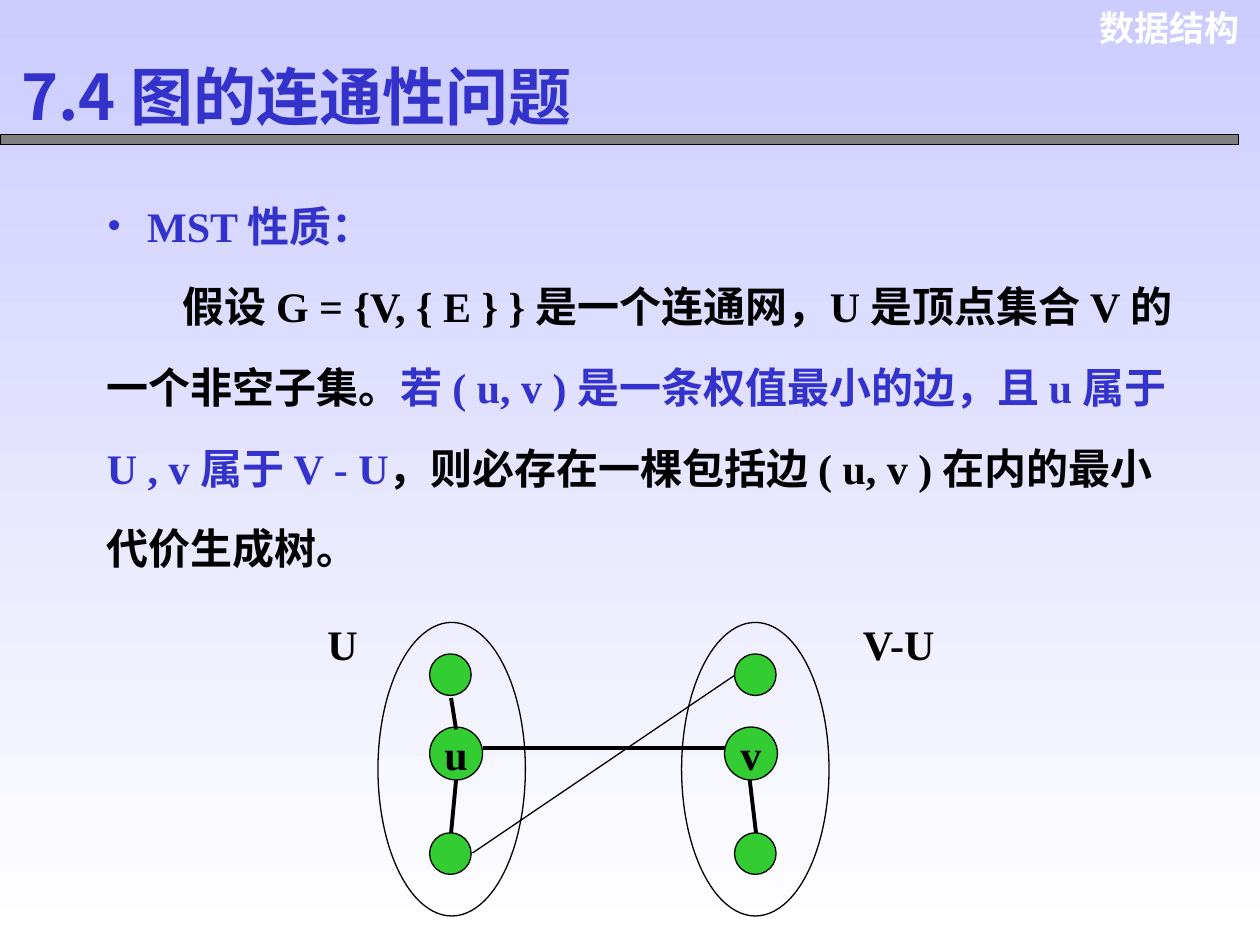
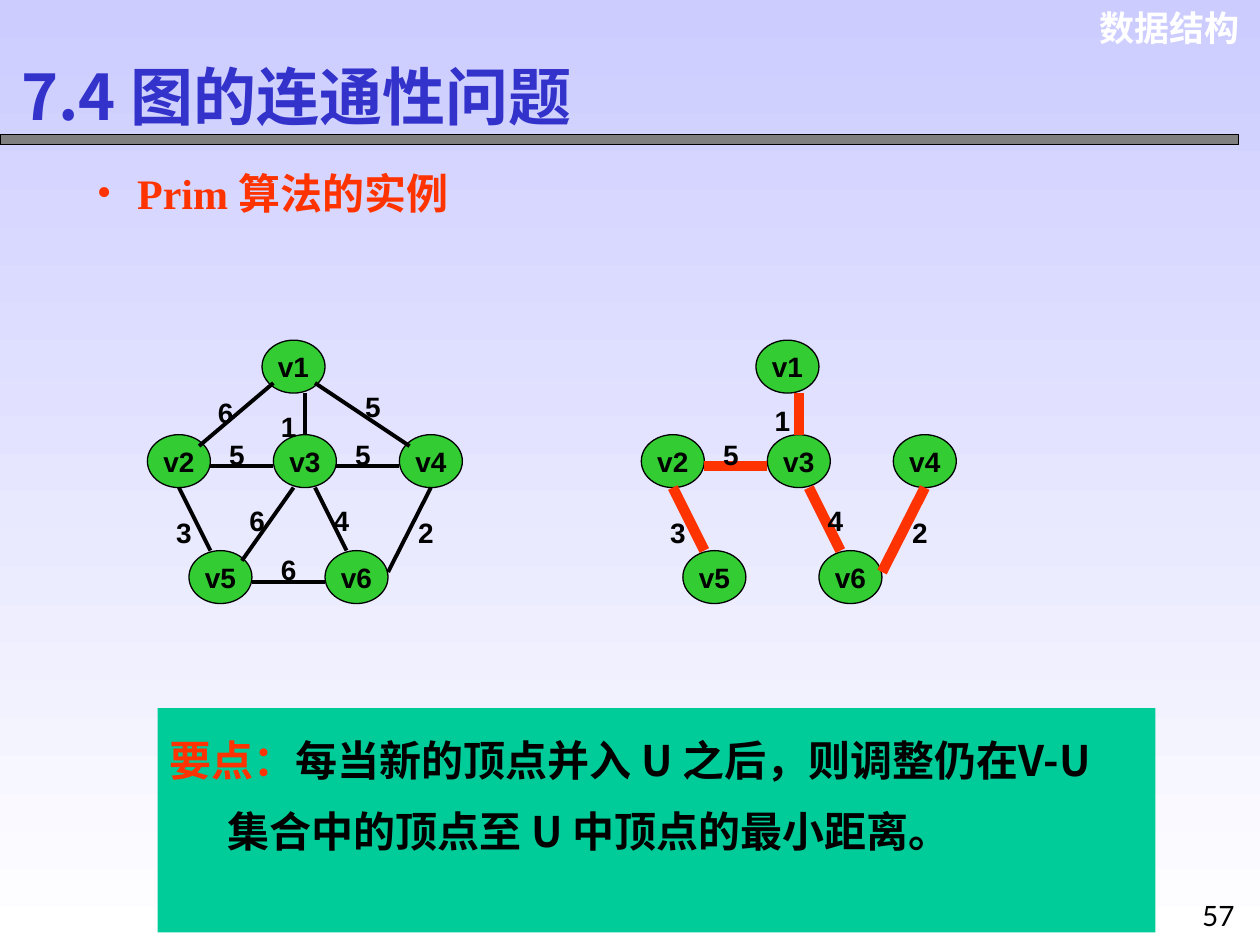
from dataclasses import dataclass, replace

from lxml import etree
from pptx import Presentation
from pptx.dml.color import RGBColor
from pptx.enum.shapes import MSO_CONNECTOR, MSO_SHAPE
from pptx.enum.text import MSO_ANCHOR, PP_ALIGN
from pptx.oxml.ns import qn
from pptx.util import Inches, Pt

RECTANGLE, ELLIPSE = MSO_SHAPE.RECTANGLE, MSO_SHAPE.OVAL
STRAIGHT = MSO_CONNECTOR.STRAIGHT
LEFT, CENTER, RIGHT = PP_ALIGN.LEFT, PP_ALIGN.CENTER, PP_ALIGN.RIGHT
TOP, MIDDLE = MSO_ANCHOR.TOP, MSO_ANCHOR.MIDDLE


@dataclass(frozen=True)
class Theme:
    sky: str = "CCCCFF"
    white: str = "FFFFFF"
    black: str = "000000"
    gray: str = "808080"
    blue: str = "3333CC"
    red: str = "FF3300"
    green: str = "33CC33"
    teal: str = "00CC99"
    serif: str = "Times New Roman"
    sans: str = "Arial"
    cjk: str = "Noto Sans CJK SC"
    number_font: str = "Lato"
    title_size: int = 36
    body_size: int = 24
    header_size: int = 20
    label_size: int = 16
    outline: float = 0.75
    edge: float = 2.25
    tree_edge: float = 6


THEME = Theme()


@dataclass(frozen=True)
class Style:
    size: float
    font: str
    color: str = THEME.black
    bold: bool = True


TITLE = Style(THEME.title_size, THEME.cjk, THEME.blue)
HEADER = Style(THEME.header_size, THEME.sans, THEME.white)
BODY = Style(THEME.body_size, THEME.serif)
BODY_BLUE = replace(BODY, color=THEME.blue)
BODY_RED = replace(BODY, color=THEME.red)
CALLOUT = Style(THEME.body_size, THEME.cjk)
CALLOUT_RED = replace(CALLOUT, color=THEME.red)
LABEL = Style(THEME.label_size, THEME.sans)
PAGE_NUMBER = Style(THEME.label_size, THEME.number_font, bold=False)


@dataclass(frozen=True)
class Paragraph:
    runs: tuple
    align: int = LEFT
    line_spacing: float = 1.0
    first_indent: float = 0
    bullet: str = ""


@dataclass(frozen=True)
class Edge:
    start: tuple
    end: tuple
    weight: str
    weight_at: tuple
    in_tree: bool = False


VERTICES = {
    "v1": (2.08, 2.7),
    "v2": (1.17, 3.45),
    "v3": (2.17, 3.45),
    "v4": (3.17, 3.45),
    "v5": (1.5, 4.37),
    "v6": (2.58, 4.37),
}
ROOT_EDGE = Edge((2.42, 3.12), (2.42, 3.45), "1", (2.08, 3.2), True)
GRAPH_EDGES = [
    ROOT_EDGE,
    Edge((1.67, 3.7), (2.17, 3.7), "5", (1.67, 3.42), True),
    Edge((2.67, 3.7), (3.17, 3.7), "5", (2.67, 3.42)),
    Edge((1.42, 3.87), (1.67, 4.37), "3", (1.25, 4.04), True),
    Edge((1.92, 4.45), (2.33, 3.87), "6", (1.83, 3.95)),
    Edge((2.5, 3.87), (2.75, 4.37), "4", (2.5, 3.95), True),
    Edge((3.08, 4.54), (3.42, 3.87), "2", (3.17, 4.04), True),
    Edge((2, 4.62), (2.58, 4.62), "6", (2.08, 4.34)),
    Edge((1.58, 3.54), (2.17, 3.04), "6", (1.58, 3.09)),
    Edge((3.25, 3.54), (2.5, 3.04), "5", (2.75, 3.04)),
]
TREE_EDGES = [replace(ROOT_EDGE, weight_at=(2.08, 3.15))] + [
    edge for edge in GRAPH_EDGES[1:] if edge.in_tree
]
TREE_SHIFT = 3.92


def rgb(color):
    return RGBColor.from_string(color)


def add_run(paragraph, text, style):
    run = paragraph.add_run()
    run.text = text
    font = run.font
    font.size, font.bold, font.name = Pt(style.size), style.bold, style.font
    font.color.rgb = rgb(style.color)
    east_asian = etree.SubElement(run._r.get_or_add_rPr(), qn("a:ea"))
    east_asian.set("typeface", THEME.cjk)


def set_bullet(properties, color):
    properties.set("marL", str(Inches(0.32)))
    properties.set("indent", str(Inches(-0.32)))
    bullet_color = etree.SubElement(properties, qn("a:buClr"))
    etree.SubElement(bullet_color, qn("a:srgbClr")).set("val", color)
    etree.SubElement(properties, qn("a:buFont")).set("typeface", THEME.serif)
    etree.SubElement(properties, qn("a:buChar")).set("char", "•")


def write_text(shape, paragraphs, anchor=TOP, wrap=True):
    frame = shape.text_frame
    frame.word_wrap = wrap
    frame.vertical_anchor = anchor
    for index, content in enumerate(paragraphs):
        paragraph = frame.add_paragraph() if index else frame.paragraphs[0]
        paragraph.alignment = content.align
        paragraph.line_spacing = content.line_spacing
        properties = paragraph._p.get_or_add_pPr()
        if content.bullet:
            set_bullet(properties, content.bullet)
        elif content.first_indent:
            properties.set("indent", str(Inches(content.first_indent)))
        for text, style in content.runs:
            add_run(paragraph, text, style)


def add_text(slide, box, paragraphs, anchor=TOP):
    write_text(slide.shapes.add_textbox(*map(Inches, box)), paragraphs, anchor)


def add_label(slide, box, text, style, align=LEFT, anchor=TOP):
    add_text(slide, box, [Paragraph(((text, style),), align)], anchor)


def add_figure(slide, preset, box, fill=None, outlined=True):
    figure = slide.shapes.add_shape(preset, *map(Inches, box))
    figure.shadow.inherit = False
    if fill:
        figure.fill.solid()
        figure.fill.fore_color.rgb = rgb(fill)
    else:
        figure.fill.background()
    if outlined:
        figure.line.color.rgb = rgb(THEME.black)
        figure.line.width = Pt(THEME.outline)
    else:
        figure.line.fill.background()
    return figure


def add_vertex(slide, box, name="", style=LABEL):
    vertex = add_figure(slide, ELLIPSE, box, THEME.green)
    if name:
        label = Paragraph(((name, style),), CENTER)
        write_text(vertex, [label], MIDDLE, wrap=False)


def add_line(slide, start, end, width=THEME.edge, color=THEME.black):
    line = slide.shapes.add_connector(STRAIGHT, *map(Inches, (*start, *end)))
    line.line.color.rgb = rgb(color)
    line.line.width = Pt(width)
    etree.SubElement(line._element.spPr, qn("a:effectLst"))


def add_base_slide(deck):
    slide = deck.slides.add_slide(deck.slide_layouts[6])
    background = slide.background.fill
    background.gradient()
    background.gradient_angle = 270
    for stop, color in zip(background.gradient_stops, (THEME.sky, THEME.white)):
        stop.color.rgb = rgb(color)
    add_label(slide, (8.57, 0, 1.37, 0.44), "数据结构", HEADER, RIGHT)
    add_figure(slide, RECTANGLE, (0, 1.07, 9.83, 0.08), THEME.gray)
    add_label(slide, (0.07, 0.48, 4.95, 0.55), "7.4 图的连通性问题", TITLE, anchor=MIDDLE)
    return slide


def draw_vertex_sets(slide):
    for set_left, vertex_left in ((3, 3.41), (5.41, 5.83)):
        add_figure(slide, ELLIPSE, (set_left, 4.94, 1.17, 2.33))
        for top in (5.19, 6.61):
            add_vertex(slide, (vertex_left, top, 0.33, 0.33))
    for name, left in (("u", 3.41), ("v", 5.75)):
        add_vertex(slide, (left, 5.77, 0.42, 0.42), name, BODY)
    add_line(slide, (3.75, 6.77), (5.83, 5.36), THEME.outline)
    for start, end in (
        ((3.83, 5.94), (5.75, 5.94)),
        ((3.58, 5.54), (3.62, 5.79)),
        ((3.62, 6.19), (3.58, 6.61)),
        ((5.95, 6.19), (6, 6.61)),
    ):
        add_line(slide, start, end)
    add_label(slide, (2.5, 4.86, 0.5, 0.5), "U", BODY)
    add_label(slide, (6.75, 4.86, 1.17, 0.5), "V-U", BODY)


def draw_graph(slide, edges, shift=0, width=THEME.edge, color=THEME.black):
    def shifted(point):
        return point[0] + shift, point[1]

    for name, corner in VERTICES.items():
        add_vertex(slide, (*shifted(corner), 0.5, 0.42), name)
    for edge in edges:
        add_line(slide, shifted(edge.start), shifted(edge.end), width, color)
    for edge in edges:
        add_label(slide, (*shifted(edge.weight_at), 0.42, 0.37), edge.weight, LABEL, CENTER)


def build_mst_slide(deck):
    slide = add_base_slide(deck)
    statement = (
        ("假设 G = {V, { E } } 是一个连通网，U 是顶点集合 V 的一个非空子集。", BODY),
        ("若 ( u, v ) 是一条权值最小的边，且 u 属于 U , v 属于 V - U", BODY_BLUE),
        ("，则必存在一棵包括边 ( u, v ) 在内的最小代价生成树。", BODY),
    )
    add_text(slide, (0.75, 1.3, 8.74, 3.3), [
        Paragraph((("MST 性质：", BODY_BLUE),), line_spacing=1.6, bullet=THEME.blue),
        Paragraph(statement, line_spacing=1.6, first_indent=0.6),
    ])
    draw_vertex_sets(slide)


def build_prim_slide(deck):
    slide = add_base_slide(deck)
    heading = Paragraph((("Prim 算法的实例", BODY_RED),), bullet=THEME.red)
    add_text(slide, (0.67, 1.28, 3.08, 0.5), [heading])
    draw_graph(slide, GRAPH_EDGES)
    draw_graph(slide, TREE_EDGES, TREE_SHIFT, THEME.tree_edge, THEME.red)
    key_point = add_figure(slide, RECTANGLE, (1.25, 5.62, 7.92, 1.78), THEME.teal, False)
    write_text(key_point, [
        Paragraph(
            (("要点：", CALLOUT_RED), ("每当新的顶点并入 U 之后，则调整仍在V-U", CALLOUT)),
            line_spacing=1.4,
        ),
        Paragraph(
            (("集合中的顶点至 U 中顶点的最小距离。", CALLOUT),),
            line_spacing=1.4,
            first_indent=0.46,
        ),
    ])
    add_label(slide, (9.42, 7.08, 0.5, 0.42), "57", PAGE_NUMBER, CENTER)


def main():
    deck = Presentation()
    deck.slide_width, deck.slide_height = Inches(10), Inches(7.5)
    build_mst_slide(deck)
    build_prim_slide(deck)
    deck.save("out.pptx")


if __name__ == "__main__":
    main()
